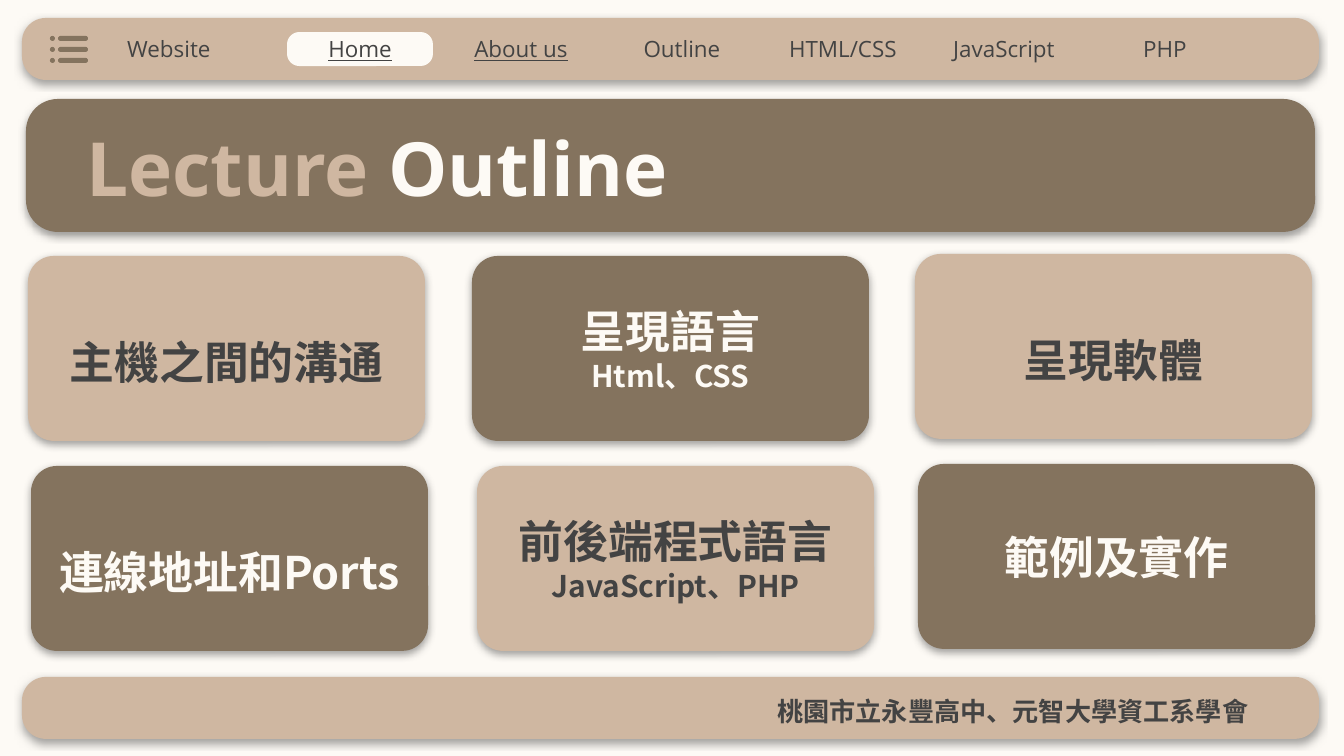
from lxml.etree import SubElement
from pptx import Presentation
from pptx.dml.color import RGBColor
from pptx.enum.shapes import MSO_SHAPE as Kind
from pptx.enum.text import MSO_ANCHOR as Anchor, PP_ALIGN as Align
from pptx.oxml.ns import qn
from pptx.util import Inches, Pt

CREAM = RGBColor(0xFD, 0xFA, 0xF5)
SAND = RGBColor(0xCF, 0xB7, 0xA1)
BROWN = RGBColor(0x84, 0x73, 0x5E)
DARK = RGBColor(0x43, 0x43, 0x43)
SCALE = 914400 / 134.4

SANS = "Open Sans"
CJK = "Noto Sans CJK SC"
MENU = {"size": Pt(12), "name": SANS}
LINK = {**MENU, "underline": True}
HEAD = {"size": Pt(40), "name": SANS, "bold": True}
CARD = {"size": Pt(24), "name": CJK, "bold": True}
SUB = {**CARD, "size": Pt(16)}
FOOT = {**CARD, "size": Pt(14)}

BARS = [(22, 18, 1297, 62), (22, 677, 1297, 62)]
TABS = [
    ("Home", LINK, CREAM),
    ("About us", LINK, None),
    ("Outline", MENU, None),
    ("HTML/CSS", MENU, None),
    ("JavaScript", MENU, None),
    ("PHP", MENU, None),
]
CARDS = [
    (28, 256, SAND, 1.5, ["主機之間的溝通"]),
    (472, 256, BROWN, None, ["呈現語言", "Html、CSS"]),
    (915, 254, SAND, 1.5, ["呈現軟體"]),
    (31, 466, BROWN, 1.5, ["連線地址和Ports"]),
    (477, 466, SAND, None, ["前後端程式語言", "JavaScript、PHP"]),
    (918, 464, BROWN, None, ["範例及實作"]),
]
TITLE = [("Lecture ", HEAD, SAND), ("Outline", HEAD, CREAM)]
OWNER = "桃園市立永豐高中、元智大學資工系學會"


def emu(box):
    return [round(v * SCALE) for v in box]


def shade(shape):
    glow = SubElement(shape._element.spPr.find(qn("a:effectLst")), qn("a:outerShdw"),
                      blurRad=str(Pt(4.5)), dist=str(Pt(1.5)), dir="5400000",
                      algn="ctr", rotWithShape="0")
    tint = SubElement(glow, qn("a:srgbClr"), val=str(DARK))
    SubElement(tint, qn("a:alpha"), val="50000")


def block(shapes, box, fill, adj=None, lift=False):
    kind = Kind.OVAL if adj is None else Kind.ROUNDED_RECTANGLE
    shape = shapes.add_shape(kind, *emu(box))
    if adj is not None:
        shape.adjustments[0] = adj
    if fill is None:
        shape.fill.background()
    else:
        shape.fill.solid()
        shape.fill.fore_color.rgb = fill
    shape.line.fill.background()
    shape.shadow.inherit = False
    if lift:
        shade(shape)
    return shape


def write(shape, lines, align=Align.CENTER, anchor=Anchor.MIDDLE, gap=None):
    frame = shape.text_frame
    look = {"word_wrap": True, "vertical_anchor": anchor}
    look.update({f"margin_{side}": Inches(0.1) for side in ("left", "top", "right", "bottom")})
    for key, val in look.items():
        setattr(frame, key, val)
    for i, line in enumerate(lines):
        para = frame.add_paragraph() if i else frame.paragraphs[0]
        para.alignment = align
        para.line_spacing = gap
        for text, style, color in line:
            run = para.add_run()
            run.text = text
            for key, val in style.items():
                setattr(run.font, key, val)
            run.font.color.rgb = color
            SubElement(run.font._element, qn("a:ea"), typeface=style["name"])


deck = Presentation()
deck.slide_width, deck.slide_height = emu((1344, 756))
slide = deck.slides.add_slide(deck.slide_layouts[6])
slide.background.fill.solid()
slide.background.fill.fore_color.rgb = CREAM
shapes = slide.shapes

for box in BARS:
    block(shapes, box, SAND, 0.385, True)

for left, top, fill, gap, words in CARDS:
    ink = DARK if fill == SAND else CREAM
    card = block(shapes, (left, top, 397, 185), fill, 0.14, True)
    write(card, [[(text, style, ink)] for text, style in zip(words, (CARD, SUB))], gap=gap)

block(shapes, (26, 99, 1289, 133), BROWN, 0.24, True)
write(shapes.add_textbox(*emu((73, 108, 1047, 108))), [TITLE], Align.LEFT, Anchor.TOP)

icon = shapes.add_group_shape().shapes
for row in range(3):
    top = 36 + 11 * row
    block(icon, (58, top, 30, 5), BROWN, 0.5)
    block(icon, (50, top, 5, 5), BROWN)

write(shapes.add_textbox(*emu((114, 35, 146, 28))), [[("Website", MENU, DARK)]], Align.LEFT)
for i, (text, style, fill) in enumerate(TABS):
    tab = block(shapes, (287 + 161 * i, 32, 146, 34), fill, 0.363)
    write(tab, [[(text, style, DARK)]])

write(shapes.add_textbox(*emu((739, 696, 548, 30))), [[(OWNER, FOOT, DARK)]])
deck.save("out.pptx")
